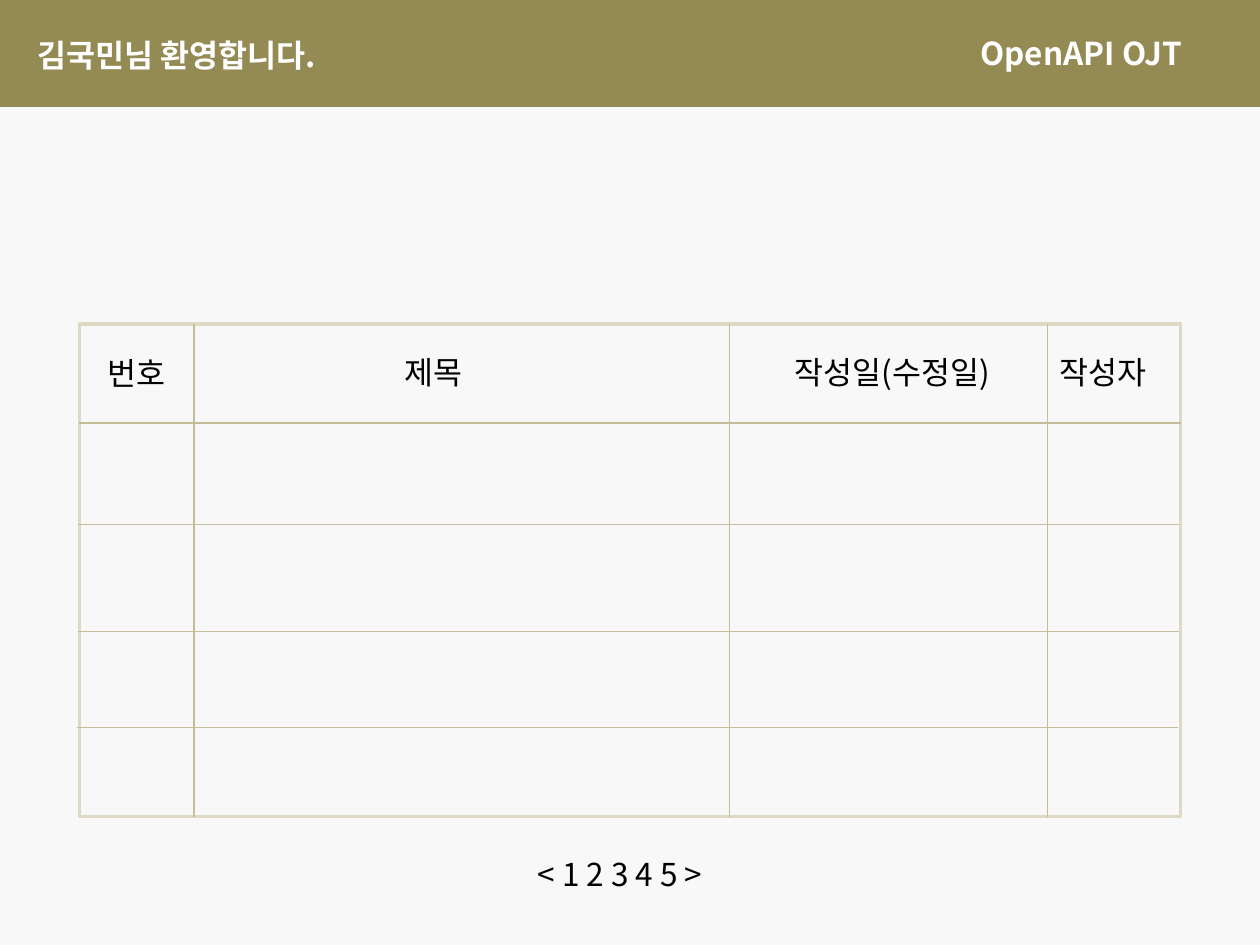
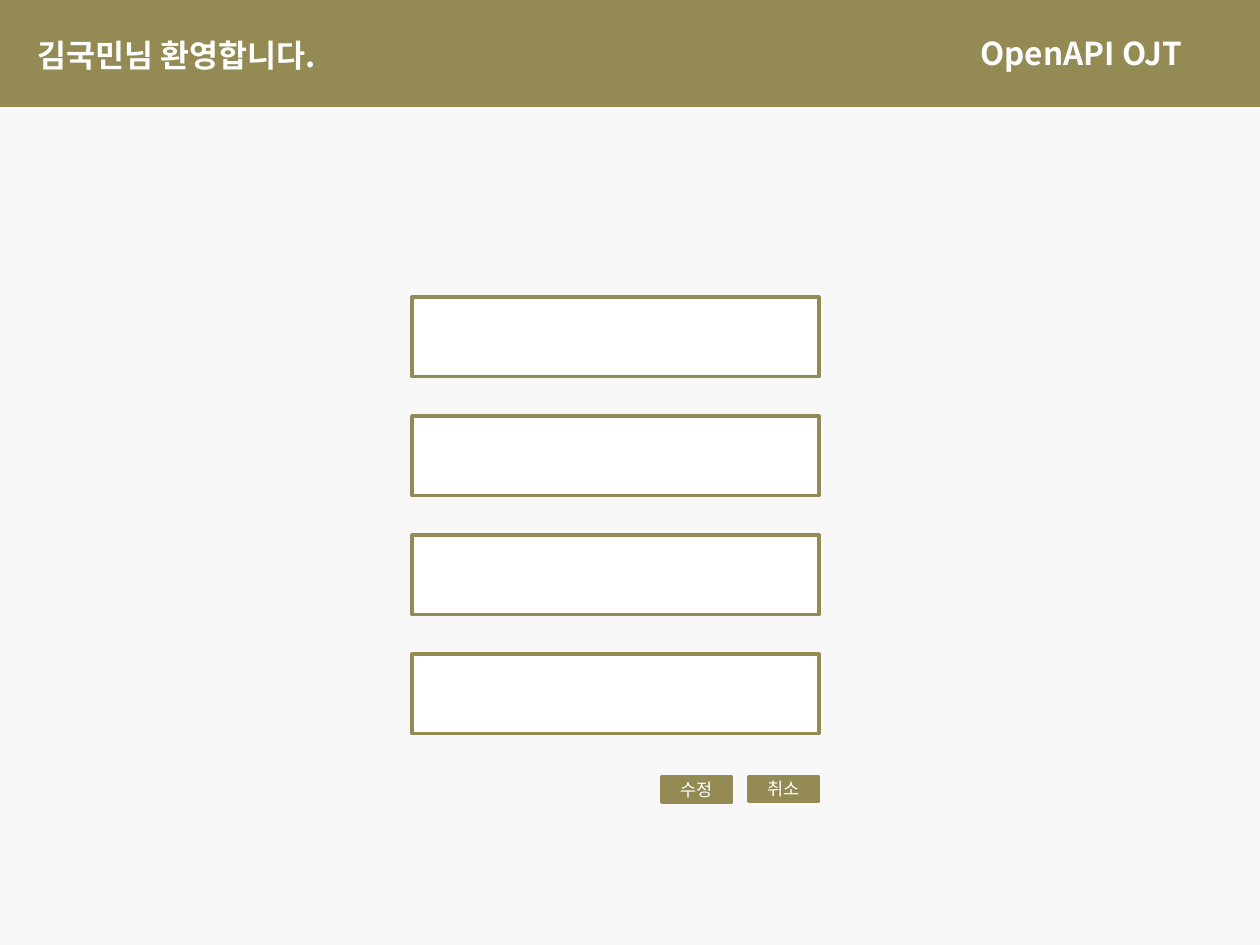
"""Build two board screens: a post list and an edit form."""
import pptx
import pptx.util
import pptx.dml.color
import pptx.enum.shapes
import pptx.enum.text
import pptx.oxml.ns
import lxml.etree

Cm = pptx.util.Cm
Pt = pptx.util.Pt
ALIGN = pptx.enum.text.PP_ALIGN
ANCHOR = pptx.enum.text.MSO_ANCHOR
FIT = pptx.enum.text.MSO_AUTO_SIZE
RECT = pptx.enum.shapes.MSO_SHAPE.RECTANGLE
LINE = pptx.enum.shapes.MSO_CONNECTOR.STRAIGHT


def color(code):
    """Turn a hex string into a colour."""
    return pptx.dml.color.RGBColor.from_string(code)


def add_tag(parent, name, **attrs):
    """Append an empty drawing element."""
    return lxml.etree.SubElement(parent, pptx.oxml.ns.qn(name), **attrs)


def write(shape, text, size=18, ink="000000", bold=False, face="Noto Sans CJK KR",
          align=ALIGN.LEFT, anchor=ANCHOR.TOP, fit=FIT.SHAPE_TO_FIT_TEXT):
    """Put formatted text into a shape."""
    frame = shape.text_frame
    frame.word_wrap = True
    frame.auto_size = fit
    frame.vertical_anchor = anchor
    para = frame.paragraphs[0]
    para.alignment = align
    run = para.add_run()
    run.text = text
    font = run.font
    font.size, font.bold, font.name = Pt(size), bold, face
    font.color.rgb = color(ink)
    add_tag(run.font._element, "a:ea", typeface=face)


class Deck:
    """Hold the style and the current slide."""

    olive, sand, pale = "948A54", "C4BD97", "DDD9C3"
    white, paper = "FFFFFF", "F8F8F8"

    def __init__(self):
        """Open an empty deck with the shared size and background."""
        self.prs = pptx.Presentation()
        self.prs.slide_width, self.prs.slide_height = Cm(25.4), Cm(19.05)
        back = self.prs.slide_master.background.fill
        back.solid()
        back.fore_color.rgb = color(self.paper)

    def page(self):
        """Start a slide with its band, title and greeting."""
        self.slide = self.prs.slides.add_slide(self.prs.slide_layouts[5])
        self.box(0, 0, 25.4, 2.13, fill=self.olive)
        title = self.slide.shapes.title
        title.left, title.top = Cm(19.51), Cm(0.56)
        title.width, title.height = Cm(6.5), Cm(1.02)
        title.element.getparent().append(title.element)
        write(title, "OpenAPI OJT", ink=self.white, bold=True)
        self.label("김국민님 환영합니다.", 0.51, 0.61, 8.2, ink=self.white, bold=True)

    def box(self, left, top, width, height, fill=None, edge=olive):
        """Draw an outlined rectangle."""
        shape = self.slide.shapes.add_shape(
            RECT, Cm(left), Cm(top), Cm(width), Cm(height))
        shape.shadow.inherit = False
        if fill:
            shape.fill.solid()
            shape.fill.fore_color.rgb = color(fill)
        else:
            shape.fill.background()
        shape.line.color.rgb = color(edge)
        shape.line.width = Pt(2)
        return shape

    def label(self, text, left, top, width, **style):
        """Place a line of text."""
        shape = self.slide.shapes.add_textbox(
            Cm(left), Cm(top), Cm(width), Cm(1.02))
        write(shape, text, **style)

    def rule(self, x1, y1, x2, y2):
        """Draw a thin grid line."""
        line = self.slide.shapes.add_connector(
            LINE, Cm(x1), Cm(y1), Cm(x2), Cm(y2))
        line.line.color.rgb = color(self.sand)
        line.line.width = Pt(0.75)
        add_tag(line.element.spPr, "a:effectLst")

    def button(self, text, left, top, width, height):
        """Draw a button with a centred caption."""
        shape = self.box(left, top, width, height, fill=self.olive)
        write(shape, text, size=10, ink=self.white, align=ALIGN.CENTER,
              anchor=ANCHOR.MIDDLE, fit=FIT.NONE)


deck = Deck()

deck.page()
left, top, width, height = 1.6, 6.53, 22.2, 9.93
deck.box(left, top, width, height, edge=deck.pale)
for start, y in ((left, 8.53), (1.57, 10.57), (1.57, 12.73), (1.55, 14.66)):
    deck.rule(start, y, start + width, y)
for x in (3.91, 14.71, 21.11):
    deck.rule(x, top, x, top + height)
heads = (("번호", 1.91, 7.01, 2), ("제목", 7.9, 6.99, 2.2),
         ("작성일(수정일)", 15.77, 6.99, 5.33), ("작성자", 21.11, 6.99, 2.87))
for head in heads:
    deck.label(*head)
deck.label("< 1 2 3 4 5 >", 10.59, 17.12, 4.8)

deck.page()
for row in range(4):
    deck.box(8.31, 5.99 + 2.4 * row, 8.2, 1.6, fill=deck.white)
deck.button("수정", 13.34, 15.65, 1.4, 0.53)
deck.button("취소", 15.09, 15.65, 1.4, 0.51)

deck.prs.save("out.pptx")
